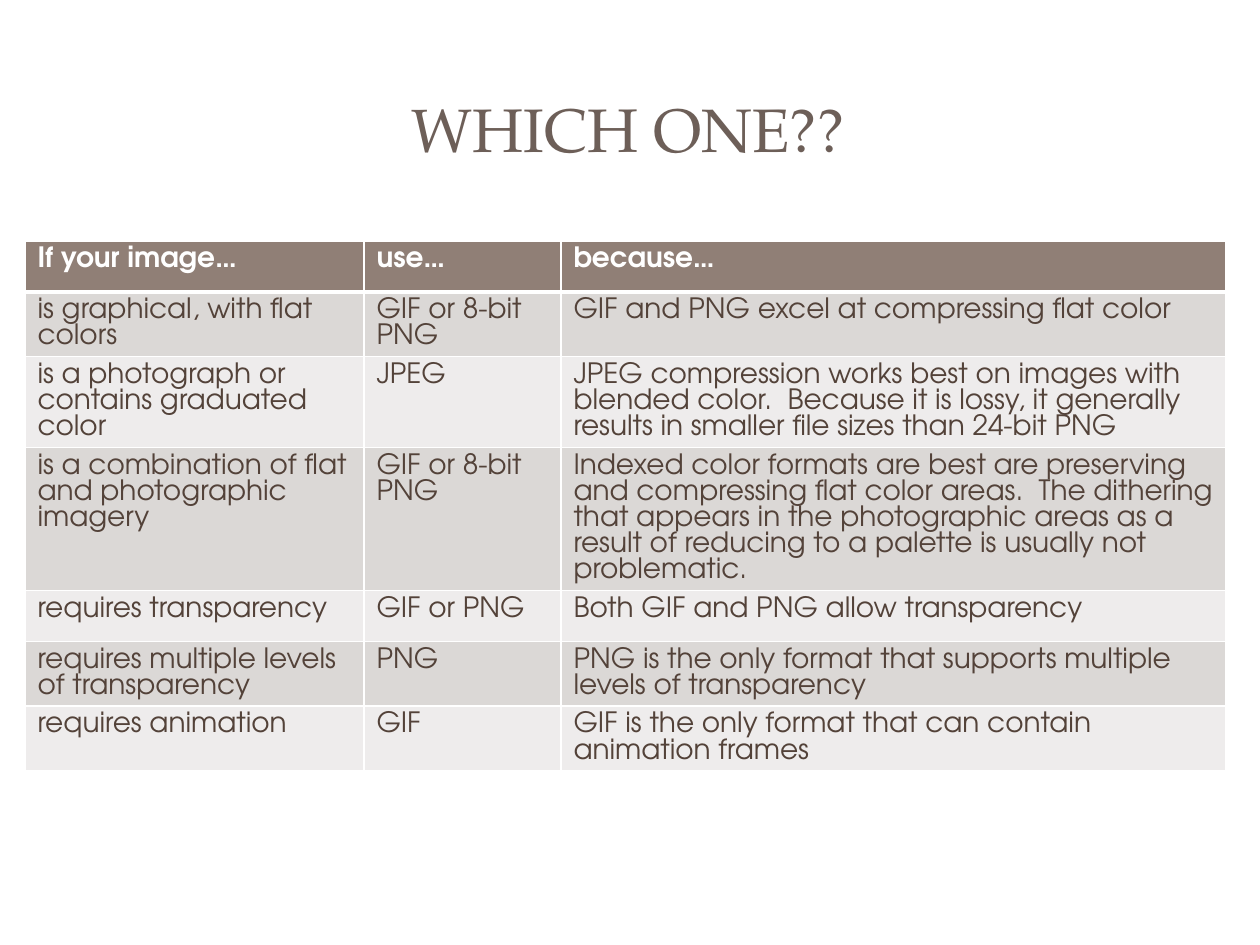
from dataclasses import dataclass

from lxml.etree import SubElement
from pptx import Presentation
from pptx.dml.color import RGBColor as Color
from pptx.enum.shapes import MSO_SHAPE as Shape
from pptx.enum.text import MSO_ANCHOR as Anchor, PP_ALIGN as Align
from pptx.oxml.ns import qn
from pptx.util import Emu, Pt


@dataclass(frozen=True)
class Theme:
    title_font: str = "TeX Gyre Pagella"
    body_font: str = "TeX Gyre Adventor"
    title_size: int = 35
    body_size: int = 16
    title: str = "6D5F58"
    text: str = "534239"
    header_text: str = "FFFFFF"
    header_fill: str = "907F76"
    bands: tuple = ("DBD8D6", "EEECEC")
    border: str = "FFFFFF"
    panel: str = "FFFFFF"


THEME = Theme()
PIXELS_PER_INCH = 126


def px(length):
    return Emu(round(length * 914400 / PIXELS_PER_INCH))


def add_borders(cell, bottom_width):
    """Draw one-point borders on a cell, with its own width at the bottom."""
    properties = cell._tc.get_or_add_tcPr()
    widths = {"a:lnL": 1, "a:lnR": 1, "a:lnT": 1, "a:lnB": bottom_width}
    for index, (tag, width) in enumerate(widths.items()):
        line = SubElement(properties, qn(tag), w=str(Pt(width)))
        fill = SubElement(line, qn("a:solidFill"))
        SubElement(fill, qn("a:srgbClr"), val=THEME.border)
        properties.insert(index, line)


presentation = Presentation()
presentation.slide_width, presentation.slide_height = px(1260), px(945)
slide = presentation.slides.add_slide(presentation.slide_layouts[5])
title = slide.shapes.title

# Page panel and title frame, behind the title
panels = [
    (Shape.ROUNDED_RECTANGLE, 13, 14, 1235, 919, 100),
    (Shape.RECTANGLE, 38, 38, 1184, 183, 83),
    (Shape.RECTANGLE, 52, 52, 1155, 154, 100),
]
for kind, left, top, width, height, opacity in panels:
    panel = slide.shapes.add_shape(kind, px(left), px(top), px(width), px(height))
    panel.shadow.inherit = False
    panel.line.fill.background()
    panel.fill.solid()
    panel.fill.fore_color.rgb = Color.from_string(THEME.panel)
    if kind == Shape.ROUNDED_RECTANGLE:
        panel.adjustments[0] = 0.02
    if opacity < 100:
        color = panel._element.spPr.find(qn("a:solidFill")).find(qn("a:srgbClr"))
        SubElement(color, qn("a:alpha"), val=str(opacity * 1000))
    title._element.addprevious(panel._element)

# Title
title.left, title.top, title.width, title.height = px(59), px(56), px(1138), px(144)
title.text_frame.text = "WHICH ONE??"
title.text_frame.vertical_anchor = Anchor.MIDDLE
paragraph = title.text_frame.paragraphs[0]
paragraph.alignment = Align.CENTER
font = paragraph.runs[0].font
font.name, font.size = THEME.title_font, Pt(THEME.title_size)
font.color.rgb = Color.from_string(THEME.title)

# Table of image formats
rows = [
    ("If your image…", "use…", "because…"),
    ("is graphical, with flat colors", "GIF or 8-bit PNG",
     "GIF and PNG excel at compressing flat color"),
    ("is a photograph or contains graduated color", "JPEG",
     "JPEG compression works best on images with blended color.  Because it is lossy, "
     "it generally results in smaller file sizes than 24-bit PNG"),
    ("is a combination of flat and photographic imagery", "GIF or 8-bit PNG",
     "Indexed color formats are best are preserving and compressing flat color areas.  "
     "The dithering that appears in the photographic areas as a result of reducing to "
     "a palette is usually not problematic."),
    ("requires transparency", "GIF or PNG", "Both GIF and PNG allow transparency"),
    ("requires multiple levels of transparency", "PNG",
     "PNG is the only format that supports multiple levels of transparency"),
    ("requires animation", "GIF",
     "GIF is the only format that can contain animation frames"),
]
column_widths = [339, 197, 665]
row_height = 51

table = slide.shapes.add_table(
    len(rows), len(column_widths), px(25), px(241),
    px(sum(column_widths)), px(row_height * len(rows))).table
for column, width in zip(table.columns, column_widths):
    column.width = px(width)

for row_index, texts in enumerate(rows):
    is_header = row_index == 0
    table.rows[row_index].height = px(row_height)
    fill_color = THEME.header_fill if is_header else THEME.bands[(row_index - 1) % 2]
    text_color = THEME.header_text if is_header else THEME.text
    for column_index, text in enumerate(texts):
        cell = table.cell(row_index, column_index)
        cell.fill.solid()
        cell.fill.fore_color.rgb = Color.from_string(fill_color)
        add_borders(cell, bottom_width=3 if is_header else 1)
        cell.text_frame.text = text
        font = cell.text_frame.paragraphs[0].runs[0].font
        font.name, font.size, font.bold = THEME.body_font, Pt(THEME.body_size), is_header
        font.color.rgb = Color.from_string(text_color)

presentation.save("out.pptx")
